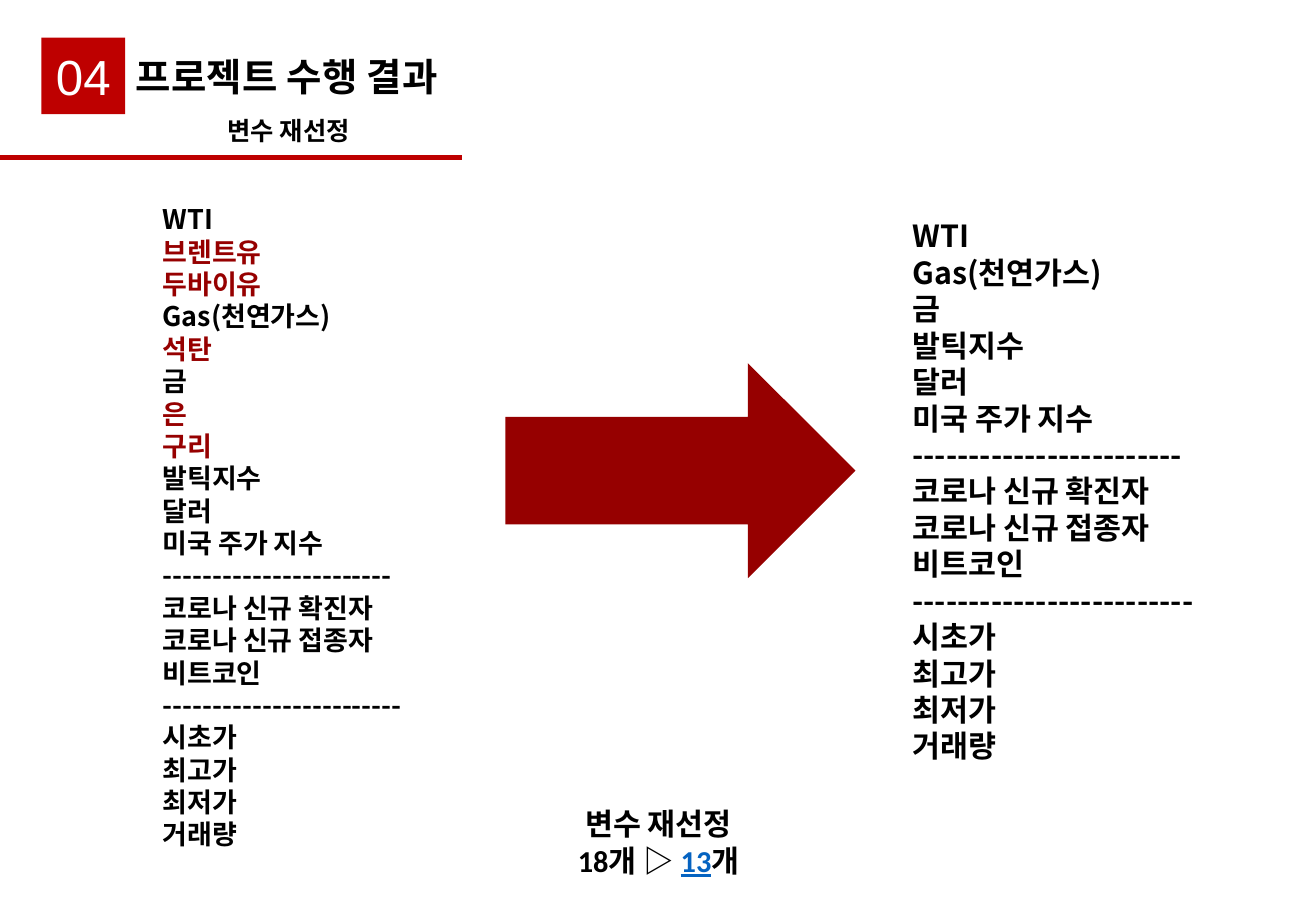
from dataclasses import dataclass

from lxml.etree import SubElement
from pptx import Presentation
from pptx.dml.color import RGBColor
from pptx.enum.shapes import MSO_CONNECTOR, MSO_SHAPE
from pptx.enum.text import MSO_ANCHOR, MSO_AUTO_SIZE, PP_ALIGN
from pptx.oxml.ns import qn
from pptx.shapes.autoshape import Shape
from pptx.slide import Slide
from pptx.util import Emu, Pt

EMU_PER_PX = 9144  # 100 px to the inch


@dataclass(frozen=True)
class Theme:
    accent: str = "BE0000"
    dark_red: str = "960000"
    black: str = "000000"
    white: str = "FFFFFF"
    blue: str = "0563C1"
    number_size: float = 29.2
    title_size: float = 22.8
    subtitle_size: float = 15
    before_size: float = 16
    after_size: float = 18
    list_font: str = "Noto Sans CJK KR"
    title_font: str = "Lato"
    number_font: str = "Arial"
    summary_font: str = "Calibri"
    line_factor: float = 1.2


THEME = Theme()


@dataclass(frozen=True)
class Box:
    left: int
    top: int
    width: int
    height: int

    def emu(self) -> list[Emu]:
        return [px(n) for n in (self.left, self.top, self.width, self.height)]


@dataclass(frozen=True)
class Run:
    text: str
    color: str = THEME.black
    underline: bool = False


@dataclass(frozen=True)
class TextBlock:
    box: Box
    lines: list[list[Run]]
    size: float
    font: str
    bold: bool = True
    align: PP_ALIGN = PP_ALIGN.LEFT
    inset: tuple[int, int] = (10, 10)
    fixed_pitch: bool = True


MARKET = ["WTI", "브렌트유", "두바이유", "Gas(천연가스)", "석탄", "금", "은", "구리",
          "발틱지수", "달러", "미국 주가 지수"]
SOCIAL = ["코로나 신규 확진자", "코로나 신규 접종자", "비트코인"]
PRICES = ["시초가", "최고가", "최저가", "거래량"]
DROPPED = {"브렌트유", "두바이유", "석탄", "은", "구리"}


def px(length: int) -> Emu:
    return Emu(length * EMU_PER_PX)


def variable_lines(market: list[str], dashes: int) -> list[list[Run]]:
    """Join the three groups with dashed rules, the second one dash longer."""
    names = [*market, "-" * dashes, *SOCIAL, "-" * (dashes + 1), *PRICES]
    return [[Run(name, THEME.dark_red if name in DROPPED else THEME.black)]
            for name in names]


def write_text(shape: Shape, block: TextBlock) -> None:
    frame = shape.text_frame
    side, end = (px(n) for n in block.inset)
    frame_format = {"word_wrap": True, "margin_left": side, "margin_right": side,
                    "margin_top": end, "margin_bottom": end}
    for name, value in frame_format.items():
        setattr(frame, name, value)
    for index, line in enumerate(block.lines):
        paragraph = frame.paragraphs[0] if index == 0 else frame.add_paragraph()
        paragraph.alignment = block.align
        if block.fixed_pitch:
            paragraph.line_spacing = Pt(block.size * THEME.line_factor)
        for part in line:
            run = paragraph.add_run()
            run.text = part.text
            font_format = {"name": block.font, "size": Pt(block.size),
                           "bold": block.bold, "underline": part.underline}
            for name, value in font_format.items():
                setattr(run.font, name, value)
            run.font.color.rgb = RGBColor.from_string(part.color)
            SubElement(run.font._element, qn("a:ea"), typeface=block.font)


def add_text(slide: Slide, block: TextBlock) -> None:
    shape = slide.shapes.add_textbox(*block.box.emu())
    write_text(shape, block)
    shape.text_frame.auto_size = MSO_AUTO_SIZE.SHAPE_TO_FIT_TEXT


def add_solid(slide: Slide, kind: MSO_SHAPE, box: Box, color: str) -> Shape:
    shape = slide.shapes.add_shape(kind, *box.emu())
    shape.shadow.inherit = False
    shape.fill.solid()
    shape.fill.fore_color.rgb = RGBColor.from_string(color)
    shape.line.fill.background()
    return shape


def add_header_rule(slide: Slide) -> None:
    rule = slide.shapes.add_connector(
        MSO_CONNECTOR.STRAIGHT, px(0), px(130), px(380), px(130))
    rule.line.color.rgb = RGBColor.from_string(THEME.accent)
    rule.line.width = Pt(3)
    SubElement(rule._element.spPr, qn("a:effectLst"))


def main() -> None:
    presentation = Presentation()
    presentation.slide_width, presentation.slide_height = px(1083), px(750)
    slide = presentation.slides.add_slide(presentation.slide_layouts[6])

    add_header_rule(slide)
    number = TextBlock(Box(34, 31, 69, 63), [[Run("04", THEME.white)]],
                       THEME.number_size, THEME.number_font, bold=False,
                       align=PP_ALIGN.CENTER, inset=(8, 4), fixed_pitch=False)
    badge = add_solid(slide, MSO_SHAPE.RECTANGLE, number.box, THEME.accent)
    write_text(badge, number)
    badge.text_frame.vertical_anchor = MSO_ANCHOR.MIDDLE
    add_solid(slide, MSO_SHAPE.RIGHT_ARROW, Box(416, 299, 288, 177), THEME.dark_red)

    kept = [name for name in MARKET if name not in DROPPED]
    blocks = [
        TextBlock(Box(102, 39, 419, 48), [[Run("프로젝트 수행 결과")]],
                  THEME.title_size, THEME.title_font, inset=(10, 5)),
        TextBlock(Box(124, 157, 239, 559), variable_lines(MARKET, 23),
                  THEME.before_size, THEME.list_font),
        TextBlock(Box(112, 85, 251, 45), [[Run("변수 재선정")]],
                  THEME.subtitle_size, THEME.list_font, align=PP_ALIGN.CENTER),
        TextBlock(Box(741, 169, 251, 475), variable_lines(kept, 24),
                  THEME.after_size, THEME.list_font),
        TextBlock(Box(398, 653, 288, 81),
                  [[Run("변수 재선정")],
                   [Run("18개 ▷ "), Run("13", THEME.blue, underline=True), Run("개")]],
                  THEME.after_size, THEME.summary_font, align=PP_ALIGN.CENTER),
    ]
    for block in blocks:
        add_text(slide, block)
    presentation.save("out.pptx")


if __name__ == "__main__":
    main()
